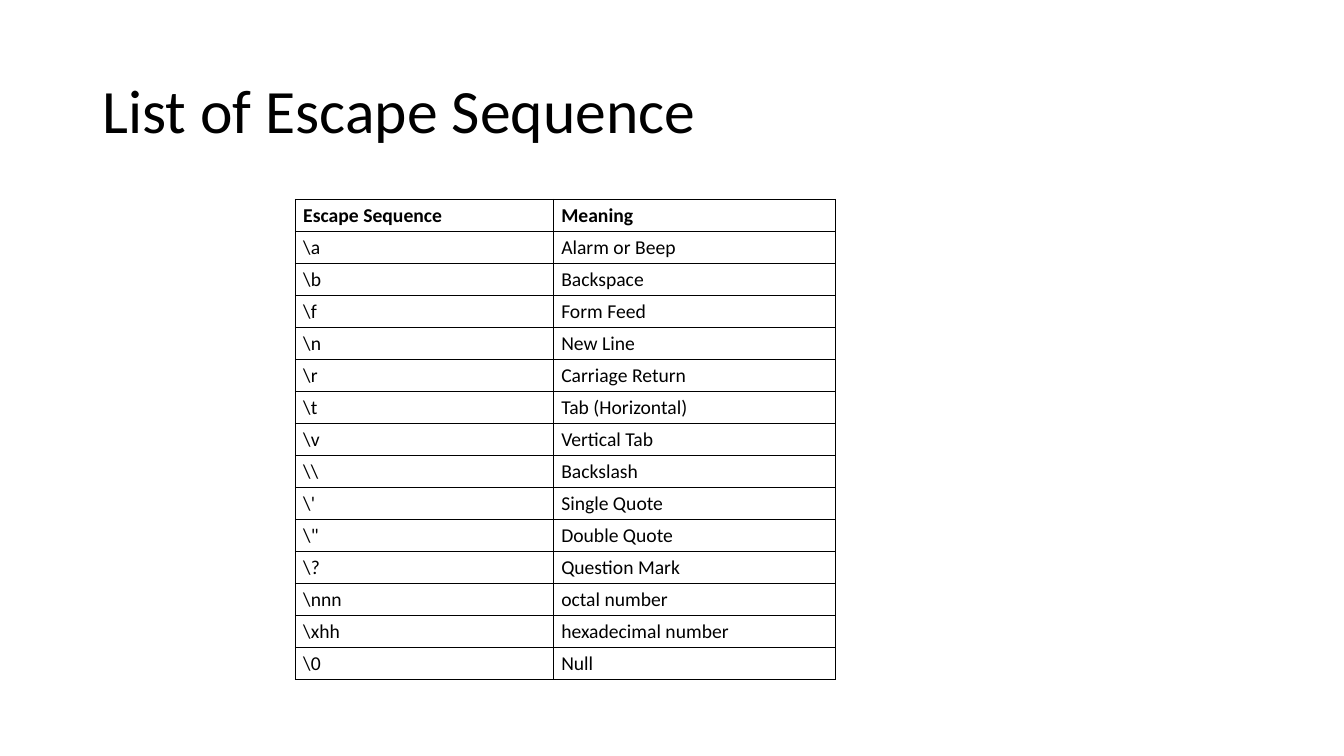
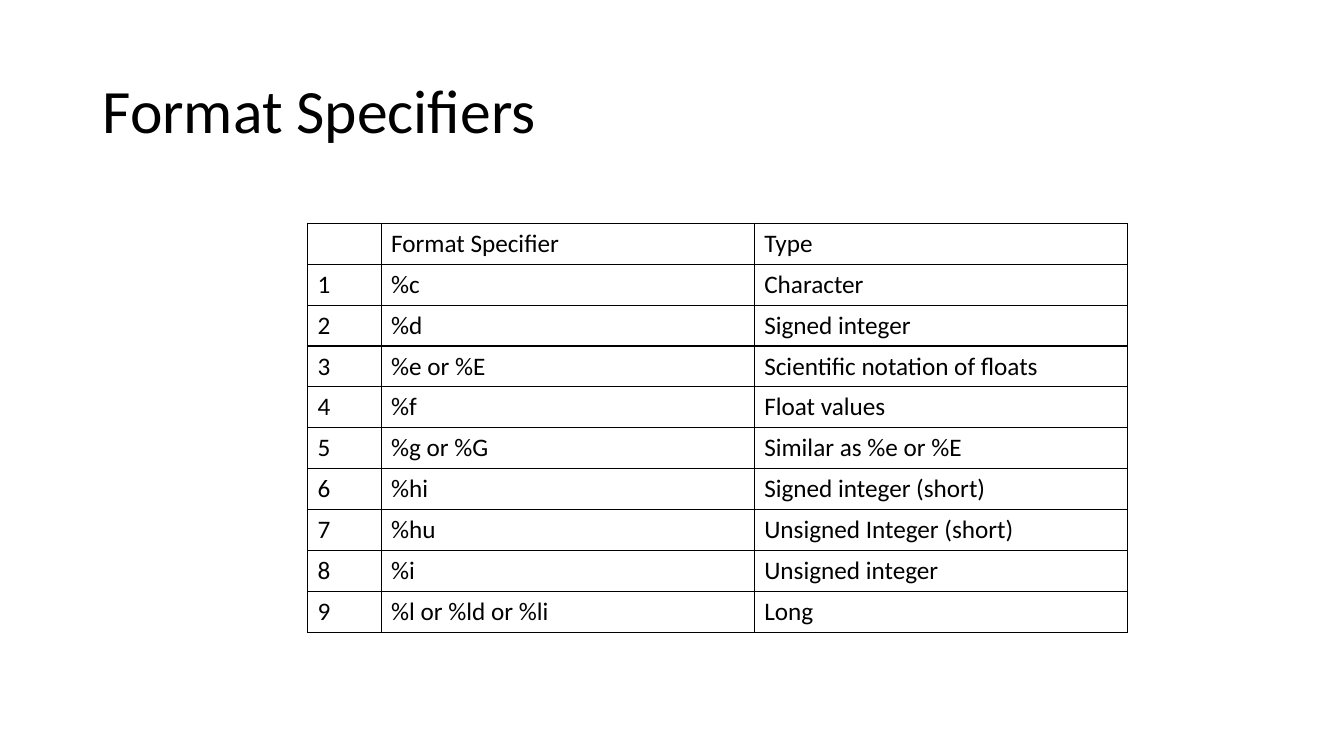
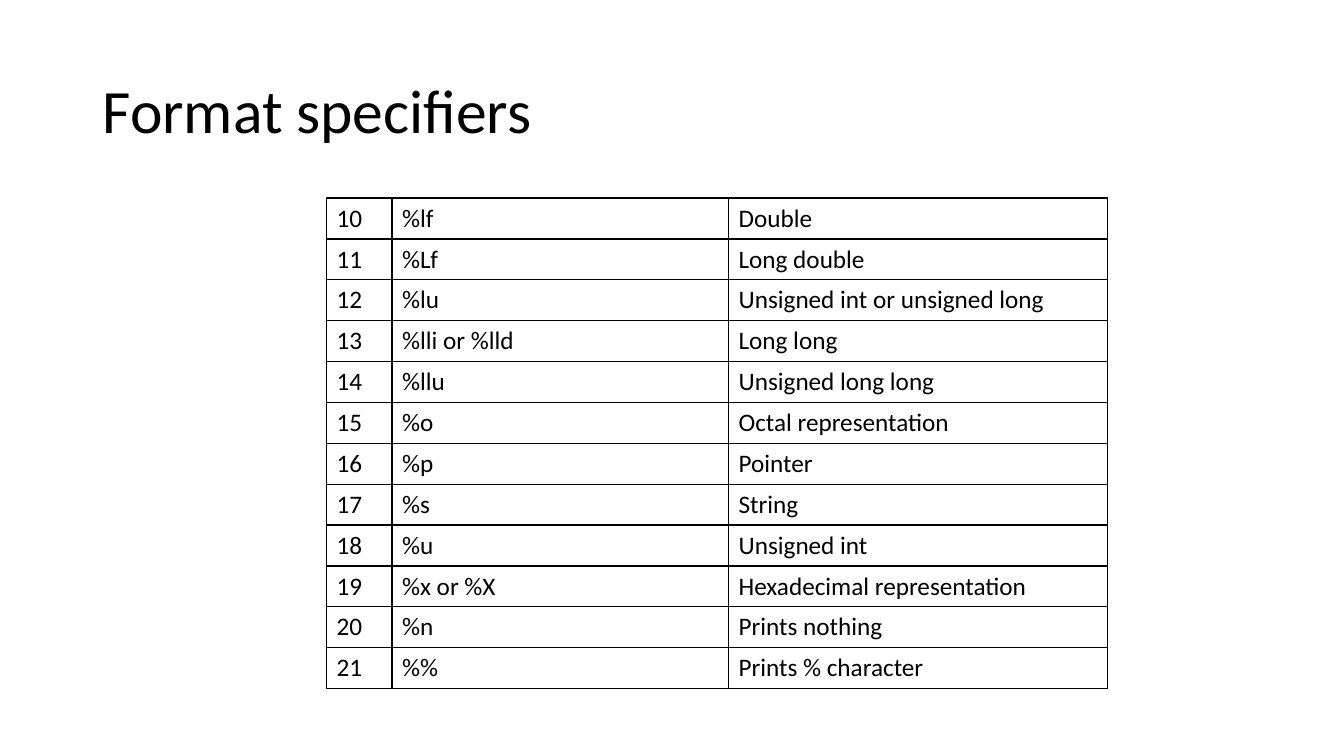
import pptx
import pptx.dml.color
import pptx.enum.text
import pptx.oxml
import pptx.oxml.ns
import pptx.util

SLIDE_W = pptx.util.Inches(13.33)
SLIDE_H = pptx.util.Inches(7.5)
FONT = "Calibri"
COLORS = {"text": "000000", "border": "000000"}
TITLE_BOX = (6.88, 5.32, 86.25, 19.33)
TITLE_SIZE = 44
TITLE_ONLY = 5

ESCAPES = [
    ("Escape Sequence", "Meaning"),
    (r"\a", "Alarm or Beep"),
    (r"\b", "Backspace"),
    (r"\f", "Form Feed"),
    (r"\n", "New Line"),
    (r"\r", "Carriage Return"),
    (r"\t", "Tab (Horizontal)"),
    (r"\v", "Vertical Tab"),
    (r"\\", "Backslash"),
    (r"\'", "Single Quote"),
    (r'\"', "Double Quote"),
    (r"\?", "Question Mark"),
    (r"\nnn", "octal number"),
    (r"\xhh", "hexadecimal number"),
    (r"\0", "Null"),
]

SPECIFIERS = [
    ("%c", "Character"),
    ("%d", "Signed integer"),
    ("%e or %E", "Scientific notation of floats"),
    ("%f", "Float values"),
    ("%g or %G", "Similar as %e or %E"),
    ("%hi", "Signed integer (short)"),
    ("%hu", "Unsigned Integer (short)"),
    ("%i", "Unsigned integer"),
    ("%l or %ld or %li", "Long"),
    ("%lf", "Double"),
    ("%Lf", "Long double"),
    ("%lu", "Unsigned int or unsigned long"),
    ("%lli or %lld", "Long long"),
    ("%llu", "Unsigned long long"),
    ("%o", "Octal representation"),
    ("%p", "Pointer"),
    ("%s", "String"),
    ("%u", "Unsigned int"),
    ("%x or %X", "Hexadecimal representation"),
    ("%n", "Prints nothing"),
    ("%%", "Prints % character"),
]
NUMBERED = [(str(n), *pair) for n, pair in enumerate(SPECIFIERS, 1)]
SPECIFIER_HEAD = ("", "Format Specifier", "Type")
FIRST_PAGE = 9


def to_emu(box):
    sides = (SLIDE_W, SLIDE_H, SLIDE_W, SLIDE_H)
    return [round(share * side / 100) for share, side in zip(box, sides)]


def add_text(paragraph, text, size, bold=False):
    run = paragraph.add_run()
    run.text = text
    run.font.name = FONT
    run.font.size = pptx.util.Pt(size)
    run.font.bold = bold
    run.font.color.rgb = pptx.dml.color.RGBColor.from_string(COLORS["text"])


def add_borders(cell):
    properties = cell._tc.get_or_add_tcPr()
    for position, side in enumerate(("lnL", "lnR", "lnT", "lnB")):
        border = pptx.oxml.parse_xml(
            f'<a:{side} {pptx.oxml.ns.nsdecls("a")} w="{pptx.util.Pt(1)}">'
            f'<a:solidFill><a:srgbClr val="{COLORS["border"]}"/></a:solidFill>'
            f'</a:{side}>')
        properties.insert(position, border)


def fill_cell(cell, text, size, bold):
    cell.fill.background()
    cell.vertical_anchor = pptx.enum.text.MSO_ANCHOR.MIDDLE
    cell.margin_left = cell.margin_right = pptx.util.Pt(0.4 * size)
    cell.margin_top = cell.margin_bottom = pptx.util.Pt(0.2 * size)
    if text:
        add_text(cell.text_frame.paragraphs[0], text, size, bold)
    add_borders(cell)


def add_title(slide, text):
    title = slide.shapes.title
    title.left, title.top, title.width, title.height = to_emu(TITLE_BOX)
    frame = title.text_frame
    frame.word_wrap = True
    frame.auto_size = pptx.enum.text.MSO_AUTO_SIZE.NONE
    frame.vertical_anchor = pptx.enum.text.MSO_ANCHOR.MIDDLE
    heading = frame.paragraphs[0]
    heading.alignment = pptx.enum.text.PP_ALIGN.LEFT
    heading.line_spacing = 0.9
    add_text(heading, text, TITLE_SIZE)


def add_grid(slide, box, weights, rows, size, bold_head):
    left, top, width, height = to_emu(box)
    grid = slide.shapes.add_table(
        len(rows), len(weights), left, top, width, height).table
    grid.first_row = False
    grid.horz_banding = False
    for column, weight in zip(grid.columns, weights):
        column.width = round(width * weight / sum(weights))
    for r, row in enumerate(rows):
        grid.rows[r].height = round(height / len(rows))
        for c, text in enumerate(row):
            fill_cell(grid.cell(r, c), text, size, bold_head and r == 0)


def add_table_slide(deck, title, box, weights, rows, size=18, bold_head=False):
    slide = deck.slides.add_slide(deck.slide_layouts[TITLE_ONLY])
    add_title(slide, title)
    add_grid(slide, box, weights, rows, size, bold_head)


def main():
    deck = pptx.Presentation()
    deck.slide_width, deck.slide_height = SLIDE_W, SLIDE_H
    add_table_slide(deck, "List of Escape Sequence", (21.98, 26.4, 40.2, 63.47),
                    (2.56, 2.8), ESCAPES, size=14, bold_head=True)
    add_table_slide(deck, "Format Specifiers", (22.88, 29.55, 61, 54.1),
                    (0.73, 3.7, 3.7), [SPECIFIER_HEAD] + NUMBERED[:FIRST_PAGE])
    add_table_slide(deck, "Format specifiers", (24.3, 26.2, 58.1, 64.55),
                    (0.65, 3.34, 3.76), NUMBERED[FIRST_PAGE:])
    deck.save("out.pptx")


if __name__ == "__main__":
    main()
